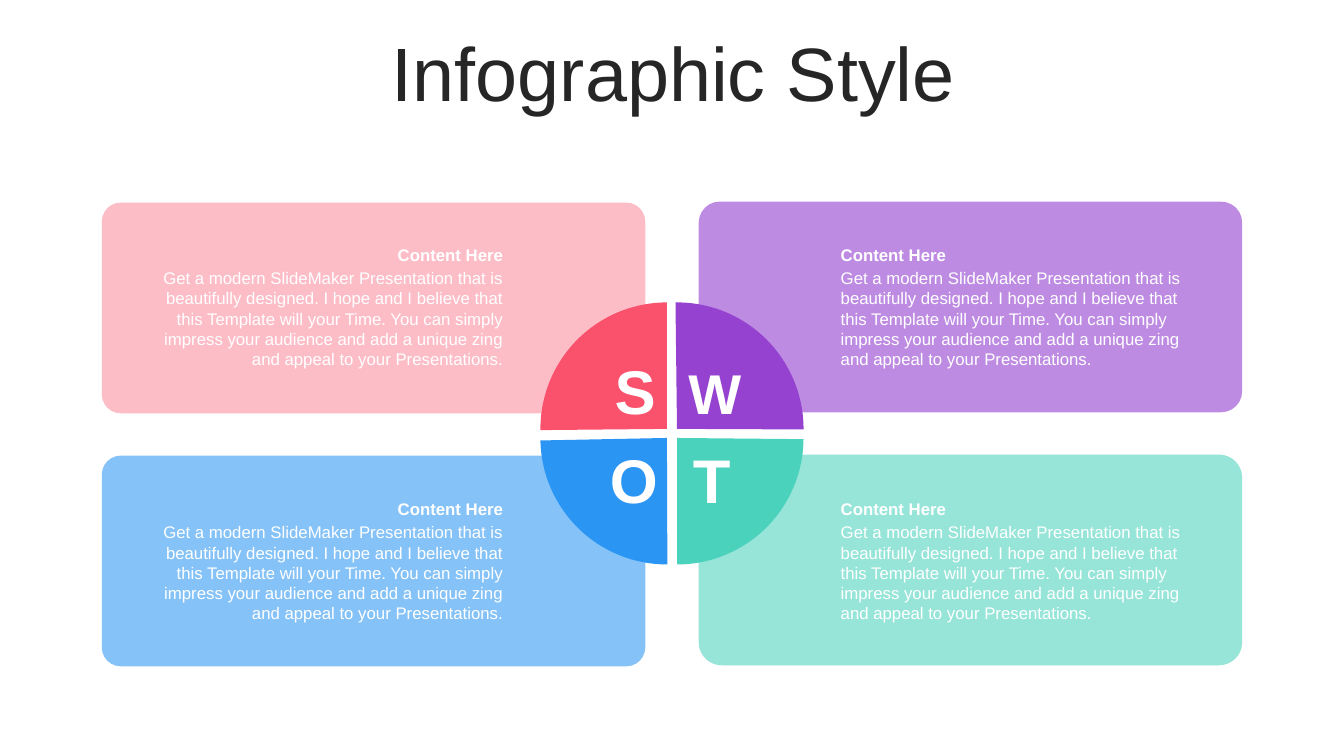
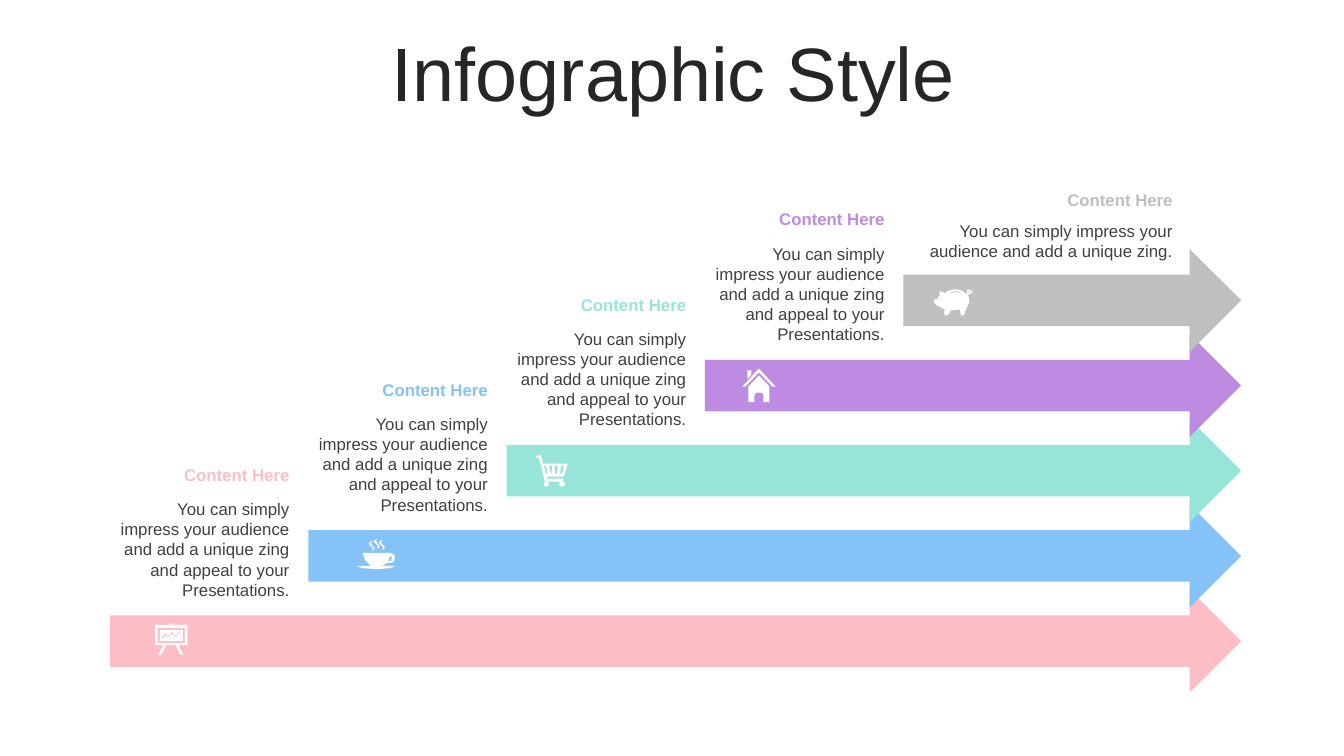
from typing import NamedTuple

from pptx import Presentation
from pptx import util as u
from pptx.dml import color
from pptx.enum import shapes, text

FONT = "Arial"
WHITE, TITLE_INK, BODY_INK = "FFFFFF", "262626", "404040"
PINK, BLUE, MINT, LILAC, GREY = "FDBDC7", "85C2F8", "96E5D8", "BE8BE2", "BFBFBF"
LEFT, CENTER, RIGHT = text.PP_ALIGN.LEFT, text.PP_ALIGN.CENTER, text.PP_ALIGN.RIGHT
TOP, MIDDLE = text.MSO_ANCHOR.TOP, text.MSO_ANCHOR.MIDDLE

HEADING = "Content Here"
SWOT_TEXT = (
    "Get a modern SlideMaker Presentation that is beautifully designed. "
    "I hope and I believe that this Template will your Time. You can simply "
    "impress your audience and add a unique zing and appeal to your Presentations."
)
STEP_TEXT = ("You can simply impress your audience and add a unique zing "
             "and appeal to your Presentations.")
LAST_STEP_TEXT = "You can simply impress your audience and add a unique zing."

Contour = list[tuple[int, int]]


class Quadrant(NamedTuple):
    letter: str
    col: int
    row: int
    card_color: str
    corner: float
    pie_color: str
    angles: tuple[float, float]
    letter_box: tuple[float, float, float, float]
    letter_size: int


class Step(NamedTuple):
    color: str
    icon: list[Contour]
    icon_dx: float
    icon_dy: float
    message: str = STEP_TEXT
    text_width: float = 1.89
    heading_rise: float = 1.29
    message_rise: float = 0.95


QUADRANTS = [
    Quadrant("O", 0, 1, BLUE, 0.09, "2B95F3", (53.88, 107.32), (5.95, 4.38, 0.66, 0.74), 44),
    Quadrant("S", 0, 0, PINK, 0.09, "FA526C", (107.67, 162), (5.97, 3.5, 0.66, 0.74), 44),
    Quadrant("T", 1, 1, MINT, 0.11, "4AD2BC", (0.32, 53.98), (6.73, 4.38, 0.66, 0.74), 44),
    Quadrant("W", 1, 0, LILAC, 0.1, "9542D0", (161.59, 0.15), (6.73, 3.56, 0.66, 0.67), 40),
]

# Icon contours are in thousandths of an inch; inner contours run the other way.
BOARD = [
    [(150, 0), (170, 10), (170, 20), (320, 20), (320, 220), (230, 220), (280, 315),
     (250, 315), (200, 220), (110, 220), (60, 315), (30, 315), (80, 220), (0, 220),
     (0, 20), (140, 20), (140, 10)],
    [(25, 50), (25, 200), (295, 200), (295, 50)],
    [(45, 70), (275, 70), (275, 180), (45, 180)],
    [(240, 80), (200, 130), (170, 92), (160, 92), (130, 130), (100, 108), (90, 110),
     (60, 150), (70, 160), (100, 122), (130, 143), (165, 107), (200, 143), (250, 88)],
]
STEAM = [(160, 30), (140, 50), (155, 75), (180, 100), (172, 120), (150, 130),
         (160, 115), (160, 100), (140, 80), (120, 60), (130, 42)]
CUP = [
    [(60, 150), (330, 150), (365, 165), (380, 190), (375, 225), (350, 250), (300, 250),
     (270, 270), (240, 280), (385, 280), (330, 302), (200, 312), (60, 302), (0, 280),
     (150, 280), (130, 270), (85, 225)],
    [(330, 180), (325, 205), (310, 230), (340, 230), (350, 200), (345, 185)],
] + [[(x + dx, y + dy) for x, y in STEAM] for dx, dy in ((0, 0), (50, -20), (100, -10))]
CART = [
    [(50, 0), (70, 90), (300, 90), (315, 100), (280, 210), (270, 220), (110, 220),
     (110, 240), (270, 240), (270, 270), (285, 275), (290, 292), (282, 312), (260, 320),
     (238, 312), (230, 292), (242, 270), (120, 270), (130, 292), (122, 312), (105, 320),
     (86, 312), (80, 292), (90, 270), (30, 30), (0, 30), (0, 10), (40, 10)],
    [(250, 110), (240, 190), (260, 190), (280, 110)],
    [(190, 110), (190, 190), (210, 190), (220, 110)],
    [(130, 110), (150, 190), (160, 190), (160, 110)],
    [(80, 110), (100, 190), (120, 190), (100, 110)],
]
HOUSE = [
    [(165, 70), (270, 180), (270, 335), (210, 335), (210, 270), (202, 248), (180, 240),
     (150, 240), (128, 248), (120, 270), (120, 335), (60, 335), (60, 180)],
    [(50, 20), (90, 20), (90, 60), (50, 105)],
    [(165, 0), (330, 180), (300, 180), (165, 40), (30, 180), (0, 180)],
]
PIG = [
    [(210, 0), (265, 8), (320, 40), (330, 50), (340, 50), (330, 30), (335, 10), (350, 0),
     (364, 10), (366, 28), (374, 22), (380, 0), (388, 20), (368, 48), (350, 50), (340, 60),
     (352, 90), (354, 130), (330, 180), (300, 260), (270, 260), (260, 200), (170, 210),
     (155, 240), (130, 260), (110, 260), (104, 230), (110, 200), (40, 165), (10, 140),
     (0, 100), (30, 100), (60, 60), (60, 20), (85, 22), (110, 40), (150, 12)],
    [(70, 82), (62, 90), (70, 98), (78, 90)],
    [(350, 18), (341, 29), (350, 40), (358, 29)],
    [(220, 18), (160, 30), (168, 38), (220, 26), (270, 38), (274, 30)],
]

STEPS = [
    Step(PINK, BOARD, 0.45, 0.33),
    Step(BLUE, CUP, 0.48, 0.33),
    Step(MINT, CART, 0.29, 0.35),
    Step(LILAC, HOUSE, 0.37, 0.34),
    Step(GREY, PIG, 0.3, 0.4, LAST_STEP_TEXT, 2.78, 0.64, 0.33),
]


def rgb(hex_color: str) -> color.RGBColor:
    return color.RGBColor.from_string(hex_color)


def paint(sp, fill: str) -> None:
    """Give a shape a flat fill with no outline or shadow."""
    sp.shadow.inherit = False
    sp.fill.solid()
    sp.fill.fore_color.rgb = rgb(fill)
    sp.line.fill.background()


def write(tf, words: str, size: float, ink: str, align, anchor, bold: bool = False):
    tf.word_wrap = True
    tf.vertical_anchor = anchor
    tf.text = words
    p = tf.paragraphs[0]
    p.alignment = align
    font = p.runs[0].font
    font.name, font.size, font.bold = FONT, u.Pt(size), bold
    font.color.rgb = rgb(ink)
    return p


def place(box: tuple[float, float, float, float]) -> list[u.Length]:
    return [u.Inches(v) for v in box]


def add_shape(s, kind, box: tuple[float, float, float, float], fill: str,
              adjust: tuple[float, ...] = ()):
    sp = s.shapes.add_shape(kind, *place(box))
    for i, value in enumerate(adjust):
        sp.adjustments[i] = value
    paint(sp, fill)


def add_text(s, box: tuple[float, float, float, float], words: str, ink: str, align,
             anchor=TOP, size: float = 12, bold: bool = False):
    tf = s.shapes.add_textbox(*place(box)).text_frame
    write(tf, words, size, ink, align, anchor, bold)
    tf.auto_size = text.MSO_AUTO_SIZE.SHAPE_TO_FIT_TEXT
    return tf


def add_icon(s, contours: list[Contour], x: float, y: float) -> None:
    first, *others = contours
    pen = s.shapes.build_freeform(*first[0], scale=u.Inches(0.001))
    pen.add_line_segments(first[1:], close=True)
    for contour in others:
        pen.move_to(*contour[0])
        pen.add_line_segments(contour[1:], close=True)
    paint(pen.convert_to_shape(u.Inches(x), u.Inches(y)), WHITE)


def add_titled_slide(prs, title: str):
    s = prs.slides.add_slide(prs.slide_layouts[5])
    sp = s.shapes.title
    sp.left, sp.top, sp.width, sp.height = place((0.35, 0.37, 12.66, 0.79))
    p = write(sp.text_frame, title, 54, TITLE_INK, CENTER, MIDDLE)
    p.line_spacing = 0.9
    sp.text_frame.auto_size = text.MSO_AUTO_SIZE.NONE
    return s


def build_swot(prs) -> None:
    s = add_titled_slide(prs, "Infographic Style")
    kinds = shapes.MSO_SHAPE
    for q in QUADRANTS:
        box = (1.01 + 5.92 * q.col, 2.01 + 2.51 * q.row - 0.01 * q.col, 5.39, 2.09)
        add_shape(s, kinds.ROUNDED_RECTANGLE, box, q.card_color, (q.corner,))
    for q in QUADRANTS:
        box = (5.36 + 0.1 * q.col, 3 + 0.09 * q.row, 2.51, 2.51)
        add_shape(s, kinds.PIE, box, q.pie_color, q.angles)
    for q in QUADRANTS:
        tf = add_text(s, q.letter_box, q.letter, WHITE, CENTER, MIDDLE, q.letter_size, True)
        tf.margin_top = tf.margin_bottom = 0
        x, y = (1.33, 8.24)[q.col], 2.38 + 2.52 * q.row
        align = (RIGHT, LEFT)[q.col]
        add_text(s, (x, y, 3.76, 0.3), HEADING, WHITE, align, MIDDLE, bold=True)
        add_text(s, (x, y + 0.23, 3.76, 1.11), SWOT_TEXT, WHITE, align)


def build_steps(prs) -> None:
    s = add_titled_slide(prs, "Infographic Style")
    right = 12.31
    gap_x, gap_y = 7.87 / 4, 3.38 / 4
    corners = [(1.09 + gap_x * i, 5.85 - gap_y * i) for i in range(len(STEPS))]
    for step, (x, y) in zip(STEPS, corners):
        add_shape(s, shapes.MSO_SHAPE.RIGHT_ARROW, (x, y, right - x, 1.02), step.color)
    for step, (x, y) in zip(STEPS, corners):
        add_text(s, (x - 0.01, y - step.heading_rise, step.text_width, 0.3),
                 HEADING, step.color, RIGHT, bold=True)
        add_text(s, (x - 0.01, y - step.message_rise, step.text_width, 1.11),
                 step.message, BODY_INK, RIGHT)
        add_icon(s, step.icon, x + step.icon_dx, y + step.icon_dy)


def main() -> None:
    prs = Presentation()
    prs.slide_width, prs.slide_height = u.Inches(13.33), u.Inches(7.5)
    build_swot(prs)
    build_steps(prs)
    prs.save("out.pptx")


if __name__ == "__main__":
    main()
